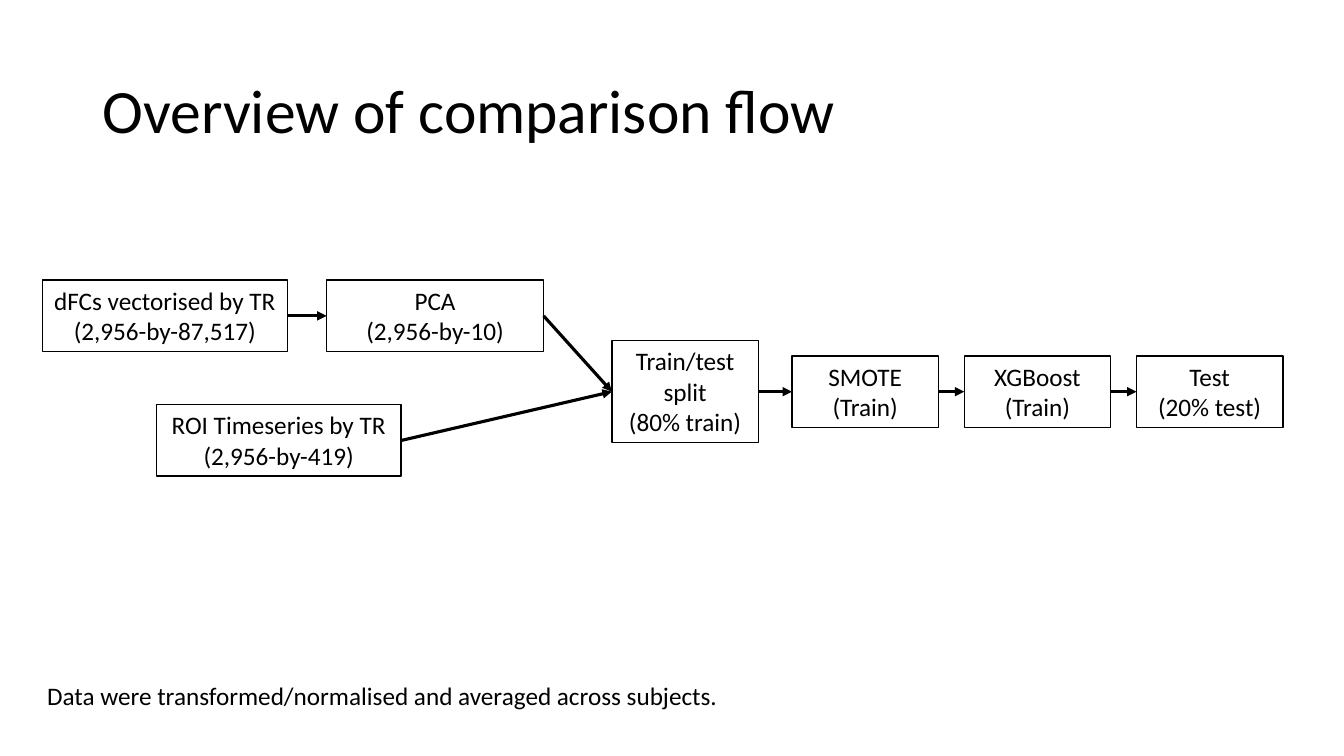
from lxml.etree import SubElement
from pptx import Presentation
from pptx.dml.color import RGBColor
from pptx.enum.shapes import MSO_CONNECTOR, MSO_SHAPE
from pptx.enum.text import MSO_ANCHOR, MSO_AUTO_SIZE, PP_ALIGN
from pptx.oxml.ns import qn
from pptx.util import Cm, Pt

COLOURS = {"ink": "000000", "paper": "FFFFFF"}
FONT = "Calibri"
RIGHT_SIDE, LEFT_SIDE = 3, 1

# Box geometry in centimetres
TWO_LINES, THREE_LINES = 1.8, 2.57
INPUT_WIDTH, STEP_WIDTH = 6.17, 3.69
DFC_CENTRE, ROI_CENTRE, MAIN_CENTRE = 7.96, 11.1, 9.87
STEP_LEFT, STEP_PITCH = 19.96, 4.34


def colour(name):
    return RGBColor.from_string(COLOURS[name])


def format_text(text_frame, size, alignment):
    for paragraph in text_frame.paragraphs:
        paragraph.alignment = alignment
        for run in paragraph.runs:
            run.font.size = Pt(size)
            run.font.name = FONT
            run.font.color.rgb = colour("ink")


def set_title(slide, text):
    title = slide.shapes.title
    title.left, title.top = Cm(2.33), Cm(1.01)
    title.width, title.height = Cm(29.21), Cm(3.68)
    text_frame = title.text_frame
    text_frame.text = text
    text_frame.auto_size = MSO_AUTO_SIZE.NONE
    text_frame.vertical_anchor = MSO_ANCHOR.MIDDLE
    text_frame.paragraphs[0].line_spacing = 0.9
    format_text(text_frame, 44, PP_ALIGN.LEFT)


def add_box(slide, text, left, centre, width, height=TWO_LINES):
    """Add an outlined box whose middle lies at the given height."""
    shape = slide.shapes.add_shape(
        MSO_SHAPE.RECTANGLE, Cm(left), Cm(centre - height / 2), Cm(width), Cm(height))
    shape.shadow.inherit = False
    shape.fill.solid()
    shape.fill.fore_color.rgb = colour("paper")
    shape.line.color.rgb = colour("ink")
    shape.line.width = Pt(1)
    text_frame = shape.text_frame
    text_frame.text = text
    text_frame.word_wrap = True
    text_frame.vertical_anchor = MSO_ANCHOR.TOP
    format_text(text_frame, 18, PP_ALIGN.CENTER)
    return shape


def add_arrow(slide, source, target):
    """Join the right side of one box to the left side of another."""
    connector = slide.shapes.add_connector(MSO_CONNECTOR.STRAIGHT, 0, 0, 0, 0)
    connector.begin_connect(source, RIGHT_SIDE)
    connector.end_connect(target, LEFT_SIDE)
    connector.line.color.rgb = colour("ink")
    connector.line.width = Pt(2.25)
    SubElement(connector.line._get_or_add_ln(), qn("a:tailEnd"), type="triangle")
    SubElement(connector._element.spPr, qn("a:effectLst"))


def add_note(slide, text):
    text_box = slide.shapes.add_textbox(Cm(0.94), Cm(17.02), Cm(17.83), Cm(1.03))
    text_box.text_frame.word_wrap = True
    text_box.text_frame.text = text
    format_text(text_box.text_frame, 18, PP_ALIGN.LEFT)


def main():
    presentation = Presentation()
    presentation.slide_width, presentation.slide_height = Cm(33.87), Cm(19.05)
    slide = presentation.slides.add_slide(presentation.slide_layouts[5])
    set_title(slide, "Overview of comparison flow")

    # Inputs
    dfcs = add_box(slide, "dFCs vectorised by TR\v(2,956-by-87,517)",
                   1.07, DFC_CENTRE, INPUT_WIDTH)
    roi = add_box(slide, "ROI Timeseries by TR\n(2,956-by-419)",
                  3.94, ROI_CENTRE, INPUT_WIDTH)
    pca = add_box(slide, "PCA\n(2,956-by-10)", 8.23, DFC_CENTRE, 5.47)

    # Shared steps
    split = add_box(slide, "Train/test split\n(80% train)",
                    15.42, MAIN_CENTRE, STEP_WIDTH, THREE_LINES)
    step_texts = ["SMOTE (Train)", "XGBoost (Train)", "Test\n(20% test)"]
    steps = [add_box(slide, text, STEP_LEFT + index * STEP_PITCH, MAIN_CENTRE, STEP_WIDTH)
             for index, text in enumerate(step_texts)]

    # Arrows
    chain = [dfcs, pca, split, *steps]
    for source, target in [*zip(chain, chain[1:]), (roi, split)]:
        add_arrow(slide, source, target)

    add_note(slide, "Data were transformed/normalised and averaged across subjects.")
    presentation.save("out.pptx")


if __name__ == "__main__":
    main()
